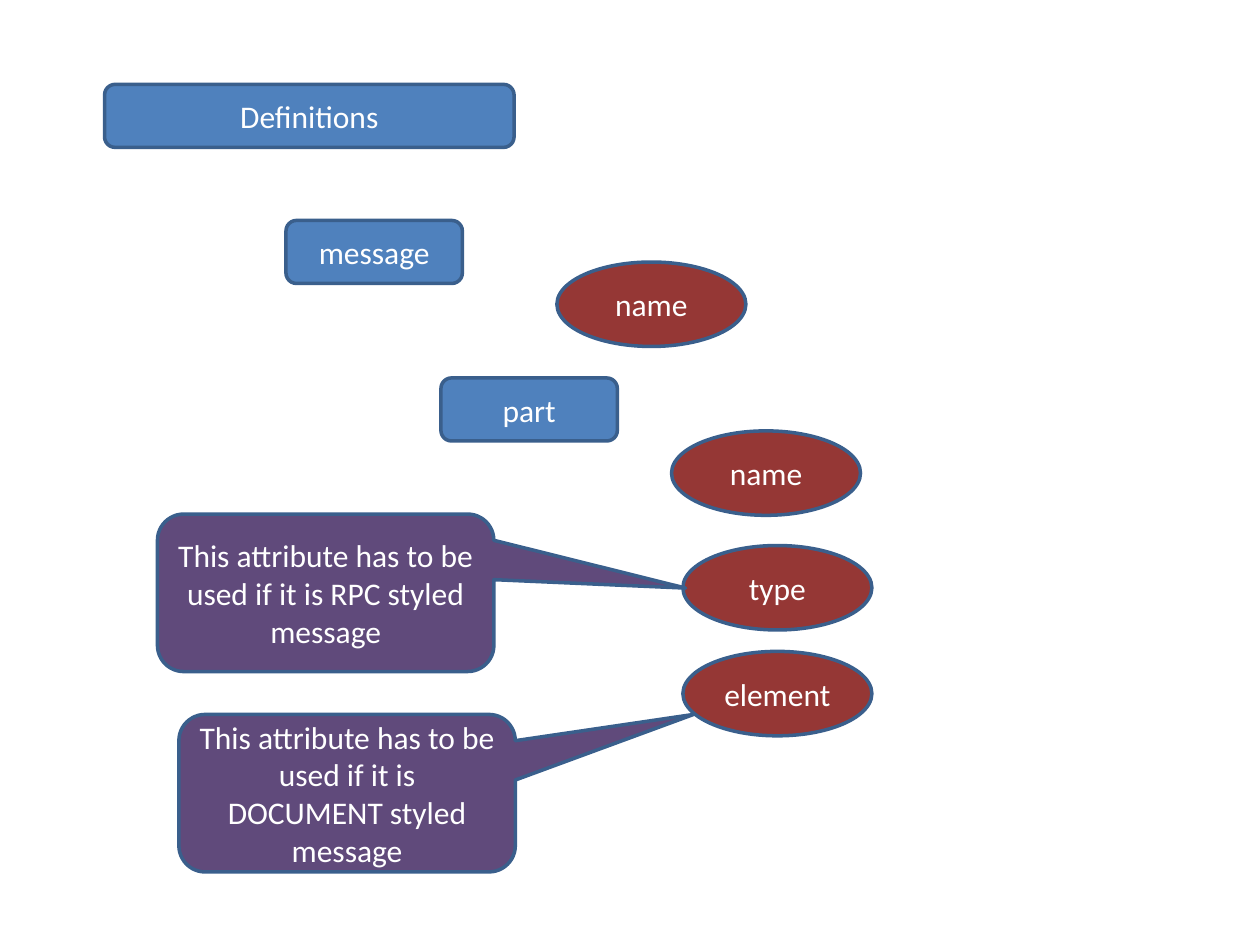
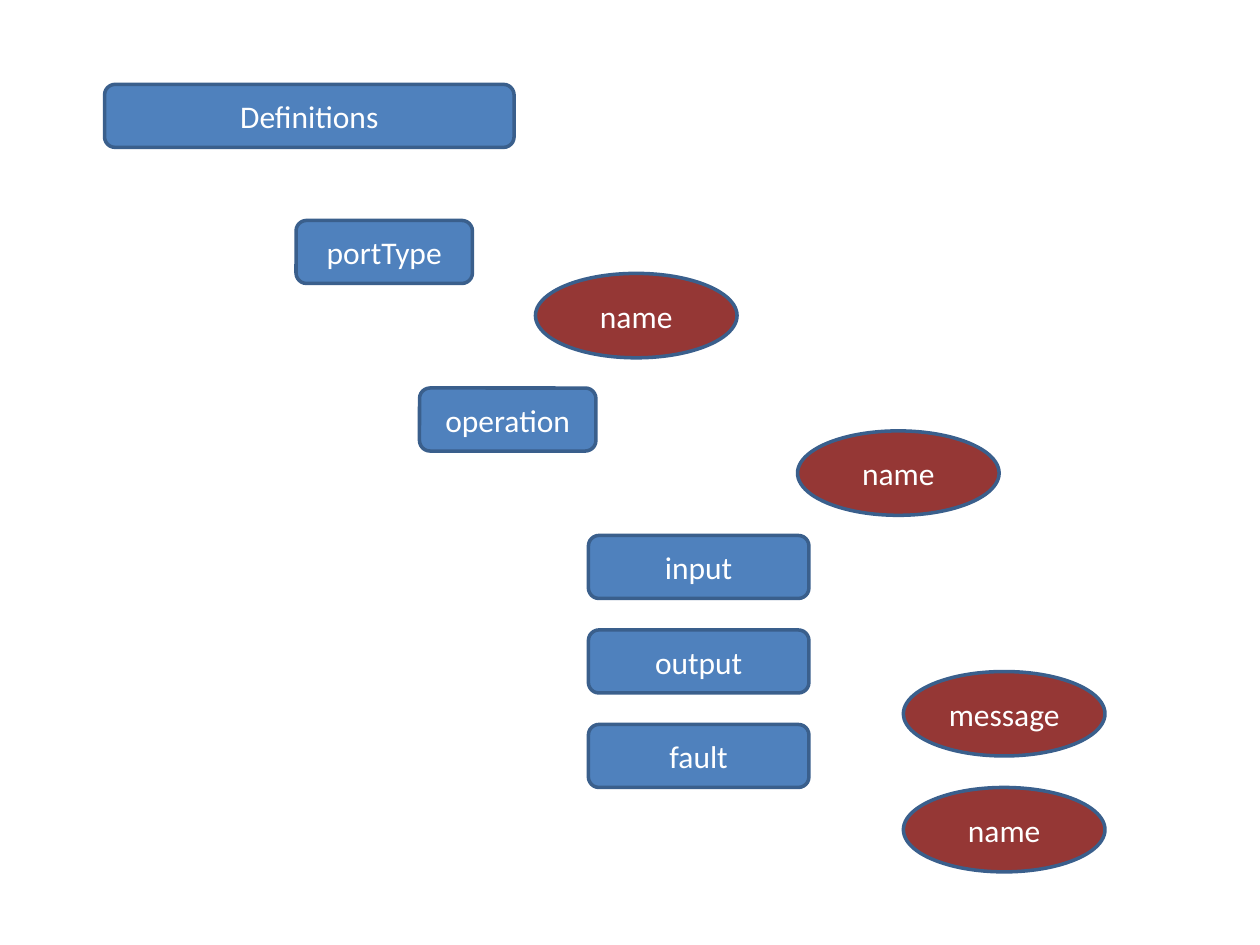
from dataclasses import dataclass

from pptx import Presentation
from pptx.dml.color import RGBColor
from pptx.enum.shapes import MSO_SHAPE as Shape
from pptx.enum.text import MSO_ANCHOR as Anchor, PP_ALIGN as Align
from pptx.util import Inches, Pt


@dataclass(frozen=True)
class Theme:
    """Colours, type and line weight shared by both slides."""
    element: RGBColor = RGBColor(0x4F, 0x81, 0xBD)
    attribute: RGBColor = RGBColor(0x95, 0x37, 0x35)
    note: RGBColor = RGBColor(0x60, 0x4A, 0x7B)
    outline: RGBColor = RGBColor(0x3A, 0x5F, 0x8C)
    text: RGBColor = RGBColor(0xFF, 0xFF, 0xFF)
    font: str = "Calibri"
    text_size: int = 18
    outline_width: int = 2


theme = Theme()
ELEMENT_HEIGHT = 0.5
ATTRIBUTE_HEIGHT = 0.67
NOTE_WIDTH, NOTE_HEIGHT = 2.67, 1.25


def write_text(shape, text, size=theme.text_size, color=theme.text,
               align=Align.CENTER, anchor=Anchor.MIDDLE):
    """Put one formatted paragraph into a shape."""
    frame = shape.text_frame
    frame.word_wrap = True
    frame.vertical_anchor = anchor
    paragraph = frame.paragraphs[0]
    paragraph.alignment = align
    run = paragraph.add_run()
    run.text = text
    run.font.name = theme.font
    run.font.size = Pt(size)
    run.font.color.rgb = color


def add_node(slide, kind, text, left, top, width, height, fill):
    """Draw one outlined, filled shape with its label and return it."""
    shape = slide.shapes.add_shape(
        kind, Inches(left), Inches(top), Inches(width), Inches(height))
    shape.shadow.inherit = False
    shape.fill.solid()
    shape.fill.fore_color.rgb = fill
    shape.line.color.rgb = theme.outline
    shape.line.width = Pt(theme.outline_width)
    write_text(shape, text)
    return shape


presentation = Presentation()
presentation.slide_width = Inches(10)
presentation.slide_height = Inches(7.5)

# Elements: text, left, top, width. Attributes: text, left, top.
# Notes: text, left, top, pointer tip relative to the note's centre.
message_slide = {
    "elements": [
        ("message", 2.27, 1.75, 1.4),
        ("part", 3.5, 3, 1.4),
    ],
    "attribute_width": 1.5,
    "attributes": [
        ("name", 4.42, 2.08),
        ("name", 5.33, 3.42),
        ("type", 5.42, 4.33),
        ("element", 5.42, 5.17),
    ],
    "notes": [
        ("This attribute has to be used if it is RPC styled message",
         1.25, 4.08, (1.07, -0.03)),
        ("This attribute has to be used if it is DOCUMENT styled message",
         1.42, 5.67, (1.03, -0.5)),
    ],
}

operation_children = [
    (text, 4.67, 4.25 + 0.75 * row, 1.75)
    for row, text in enumerate(["input", "output", "fault"])
]
port_type_slide = {
    "elements": [
        ("portType", 2.35, 1.75, 1.4),
        ("operation", 3.33, 3.08, 1.4),
        *operation_children,
    ],
    "attribute_width": 1.6,
    "attributes": [
        ("name", 4.25, 2.17),
        ("name", 6.33, 3.42),
        ("message", 7.17, 5.33),
        ("name", 7.17, 6.25),
    ],
    "notes": [],
}

root_element = ("Definitions", 0.83, 0.67, 3.25)
blank_layout = presentation.slide_layouts[6]

for content in (message_slide, port_type_slide):
    slide = presentation.slides.add_slide(blank_layout)

    for text, left, top, width in [root_element, *content["elements"]]:
        add_node(slide, Shape.ROUNDED_RECTANGLE, text, left, top,
                 width, ELEMENT_HEIGHT, theme.element)

    for text, left, top in content["attributes"]:
        add_node(slide, Shape.OVAL, text, left, top,
                 content["attribute_width"], ATTRIBUTE_HEIGHT, theme.attribute)

    for text, left, top, (tip_x, tip_y) in content["notes"]:
        note = add_node(slide, Shape.ROUNDED_RECTANGULAR_CALLOUT, text, left, top,
                        NOTE_WIDTH, NOTE_HEIGHT, theme.note)
        note.adjustments[0] = tip_x
        note.adjustments[1] = tip_y

presentation.save("out.pptx")
